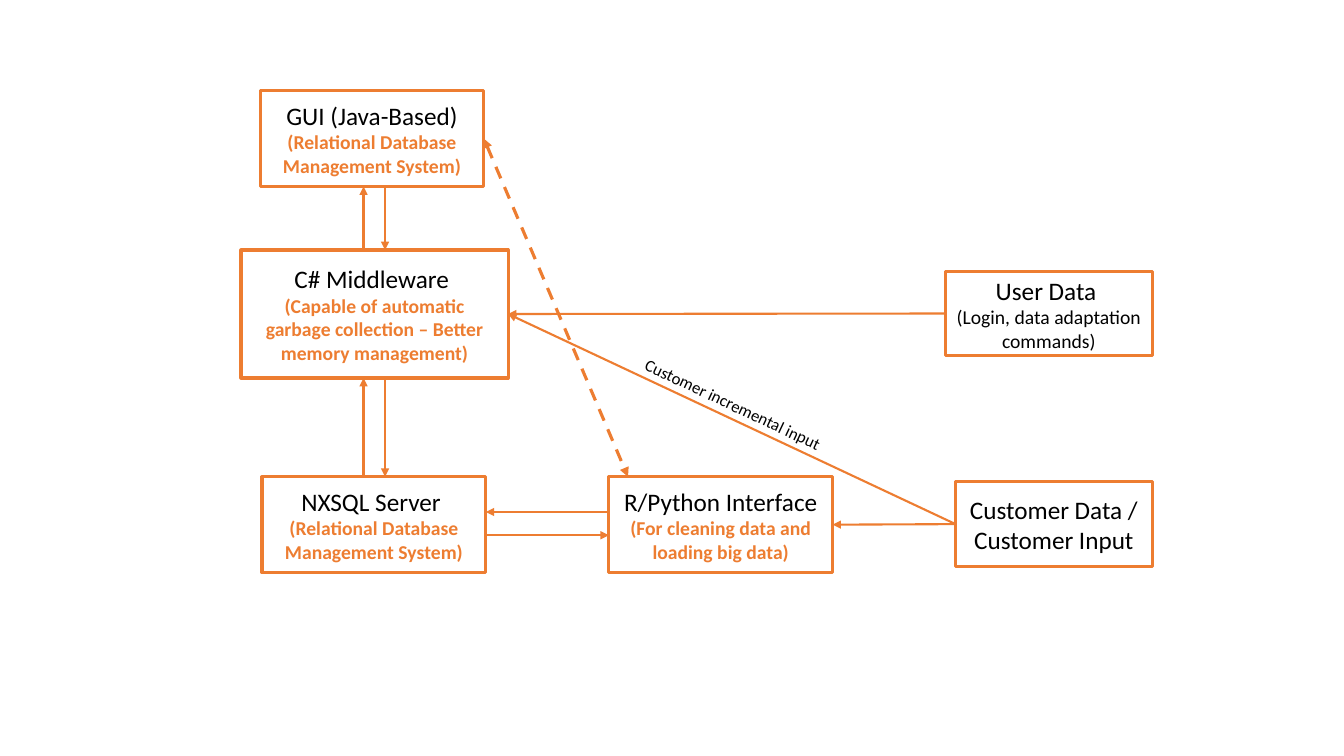
from lxml import etree
from pptx import Presentation
from pptx import util as u
from pptx.dml.color import RGBColor
from pptx.enum import dml, shapes, text
from pptx.oxml import ns

ORANGE = RGBColor(0xED, 0x7D, 0x31)
BLACK = RGBColor(0, 0, 0)
FONT = "Calibri"

# The slide is a grid of 100 columns by 100 rows.
WIDTH, HEIGHT = u.Inches(13.33), u.Inches(7.5)
COLUMN, ROW = WIDTH / 100, HEIGHT / 100
SERVICE_SIZE = (16.65, 12.67)
BOTTOM_ROW = 63.07
UP_LANE, DOWN_LANE = 27.05, 28.65
TO_SERVER, TO_INTERFACE = 67.73, 70.8


def col(count):
    return round(count * COLUMN)


def row(count):
    return round(count * ROW)


def write(para, words, size, color=BLACK, bold=False):
    para.text = words
    font = para.font
    font.name, font.size, font.bold = FONT, u.Pt(size), bold
    font.color.rgb = color


def add_box(page, corner, size, title, detail=None, color=ORANGE, bold=True):
    """Add an outlined box with a title and an optional smaller detail."""
    box = page.shapes.add_shape(
        shapes.MSO_SHAPE.RECTANGLE,
        col(corner[0]), row(corner[1]), col(size[0]), row(size[1]))
    box.shadow.inherit = False
    box.fill.background()
    box.line.color.rgb = ORANGE
    box.line.width = u.Pt(2.25)
    frame = box.text_frame
    frame.word_wrap = True
    frame.vertical_anchor = text.MSO_ANCHOR.MIDDLE
    write(frame.paragraphs[0], title, 18)
    if detail:
        write(frame.add_paragraph(), detail, 14, color, bold)
    for para in frame.paragraphs:
        para.alignment = text.PP_ALIGN.CENTER
    return box


def add_arrow(page, start, end, two_way=False):
    """Add an arrow between two points; a two-way arrow is dashed and heavier."""
    arrow = page.shapes.add_connector(
        shapes.MSO_CONNECTOR.STRAIGHT, *start, *end)
    arrow.line.color.rgb = ORANGE
    arrow.line.width = u.Pt(2.25 if two_way else 1.5)
    if two_way:
        arrow.line.dash_style = dml.MSO_LINE.DASH
    outline = arrow.line._get_or_add_ln()
    for tip in ("a:headEnd", "a:tailEnd") if two_way else ("a:tailEnd",):
        etree.SubElement(outline, ns.qn(tip), type="triangle")
    etree.SubElement(arrow._element.spPr, ns.qn("a:effectLst"))


def left_of(box):
    return box.left, box.top + box.height // 2


def right_of(box):
    return box.left + box.width, box.top + box.height // 2


def link_rows(page, upper, lower):
    """Join two stacked boxes with one arrow down and one arrow up."""
    top, bottom = upper.top + upper.height, lower.top
    add_arrow(page, (col(DOWN_LANE), top), (col(DOWN_LANE), bottom))
    add_arrow(page, (col(UP_LANE), bottom), (col(UP_LANE), top))


def add_label(page, words):
    label = page.shapes.add_textbox(
        col(46.65), row(51.73), col(16.35), row(4))
    label.rotation = 25.3
    label.text_frame.word_wrap = True
    write(label.text_frame.paragraphs[0], words, 12)


def main():
    deck = Presentation()
    deck.slide_width, deck.slide_height = WIDTH, HEIGHT
    page = deck.slides.add_slide(deck.slide_layouts.get_by_name("Blank"))

    database = "(Relational Database Management System)"
    gui = add_box(page, (19.35, 12), SERVICE_SIZE, "GUI (Java-Based)", database)
    middleware = add_box(
        page, (17.93, 33.07), (19.88, 16.93), "C# Middleware ",
        "(Capable of automatic garbage collection – Better memory management)")
    server = add_box(
        page, (19.5, BOTTOM_ROW), SERVICE_SIZE, "NXSQL Server ", database)
    interface = add_box(
        page, (45.3, BOTTOM_ROW), SERVICE_SIZE, "R/Python Interface",
        "(For cleaning data and loading big data)")
    user = add_box(
        page, (70.35, 35.87), (15.38, 11.2), "User Data ",
        "(Login, data adaptation commands)", BLACK, False)
    customer = add_box(
        page, (71.1, 63.73), (14.63, 11.2), "Customer Data / Customer Input")

    link_rows(page, gui, middleware)
    link_rows(page, middleware, server)
    server_edge, interface_edge = right_of(server)[0], interface.left
    add_arrow(page, (interface_edge, row(TO_SERVER)),
              (server_edge, row(TO_SERVER)))
    add_arrow(page, (server_edge, row(TO_INTERFACE)),
              (interface_edge, row(TO_INTERFACE)))
    add_arrow(page, left_of(customer), right_of(interface))
    add_arrow(page, left_of(customer), right_of(middleware))
    add_arrow(page, left_of(user), right_of(middleware))
    add_arrow(page, right_of(gui), (col(46.73), interface.top), two_way=True)
    add_label(page, "Customer incremental input")

    deck.save("out.pptx")


if __name__ == "__main__":
    main()
